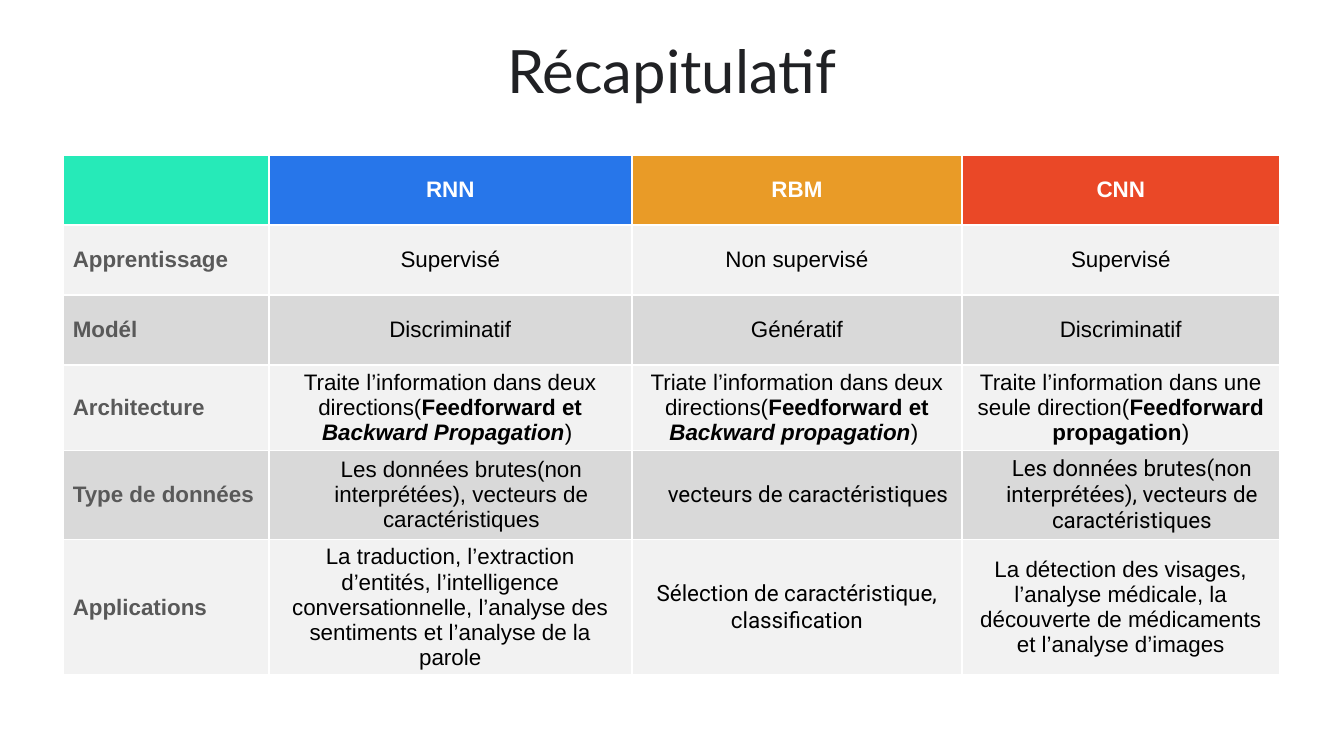
from lxml import etree
from pptx import Presentation
from pptx.dml.color import RGBColor
from pptx.enum.text import MSO_ANCHOR, PP_ALIGN
from pptx.oxml.ns import qn
from pptx.util import Pt

CENTER, LEFT = PP_ALIGN.CENTER, PP_ALIGN.LEFT
MIDDLE = MSO_ANCHOR.MIDDLE

THEME = {
    "title": "202124", "header": "FFFFFF", "label": "595959", "body": "000000",
    "border": "FFFFFF", "bands": ("F2F2F2", "D9D9D9"),
    "headers": ("26EAB8", "2776EA", "E99B27", "EA4827"),
    "title_font": "Lato", "font": "Arial", "alt_font": "Roboto",
    "title_size": 32, "size": 12,
}

# Content: a cell is a text, or a list of (text, style) with b = bold, i = italic
TITLE = "Récapitulatif"
RAW_DATA = "Les données brutes(non interprétées), vecteurs de caractéristiques"
ROWS = [
    ["", "RNN", "RBM", "CNN"],
    ["Apprentissage", "Supervisé", "Non supervisé", "Supervisé"],
    ["Modél", "Discriminatif", "Génératif", "Discriminatif"],
    ["Architecture",
     [("Traite l’information dans deux directions(", ""), ("Feedforward et ", "b"),
      ("Backward Propagation", "bi"), (") ", "")],
     [("Triate l’information dans deux directions(", ""), ("Feedforward et ", "b"),
      ("Backward propagation", "bi"), (") ", "")],
     [("Traite l’information dans une seule direction(", ""),
      ("Feedforward propagation", "b"), (")", "")]],
    ["Type de données", RAW_DATA, "vecteurs de caractéristiques", RAW_DATA],
    ["Applications",
     "La traduction, l’extraction d’entités, l’intelligence conversationnelle, "
     "l’analyse des sentiments et l’analyse de la parole",
     "Sélection de caractéristique, classification",
     "La détection des visages, l’analyse médicale, la découverte de médicaments "
     "et l’analyse d’images"],
]
ALT_FONT_CELLS = {(4, 2), (4, 3), (5, 2)}
INDENTED_ROW, INDENT = 4, 12

# Layout in points
SLIDE_W, SLIDE_H = 720, 405
TABLE_X, TABLE_Y = 34, 83
COL_WIDTHS = (110, 194.5, 177, 170)
ROW_HEIGHT = 37.5
MARGIN_X, MARGIN_Y = 5, 2.75


def style_run(r, font, size, color, bold=False, italic=False):
    r.font.name, r.font.size = font, Pt(size)
    r.font.color.rgb = RGBColor.from_string(color)
    r.font.bold, r.font.italic = bold, italic


def add_borders(cell):
    tc_pr = cell._tc.get_or_add_tcPr()
    for i, side in enumerate(("lnL", "lnR", "lnT", "lnB")):
        ln = etree.Element(qn(f"a:{side}"), w=str(Pt(1)))
        fill = etree.SubElement(ln, qn("a:solidFill"))
        etree.SubElement(fill, qn("a:srgbClr"), val=THEME["border"])
        tc_pr.insert(i, ln)


def fill_cell(cell, row, col, content):
    is_header, is_label = row == 0, col == 0
    fill = THEME["headers"][col] if is_header else THEME["bands"][(row - 1) % 2]
    cell.fill.solid()
    cell.fill.fore_color.rgb = RGBColor.from_string(fill)
    add_borders(cell)
    cell.vertical_anchor = MIDDLE
    cell.margin_left = cell.margin_right = Pt(MARGIN_X)
    cell.margin_top = cell.margin_bottom = Pt(MARGIN_Y)
    if not content:
        return

    p = cell.text_frame.paragraphs[0]
    p.alignment = LEFT if is_label else CENTER
    if row == INDENTED_ROW and not is_label:
        p._p.get_or_add_pPr().set("marL", str(Pt(INDENT)))
    role = "header" if is_header else "label" if is_label else "body"
    font = THEME["alt_font" if (row, col) in ALT_FONT_CELLS else "font"]
    parts = [(content, "")] if isinstance(content, str) else content
    for text, style in parts:
        r = p.add_run()
        r.text = text
        style_run(r, font, THEME["size"], THEME[role],
                  role != "body" or "b" in style, "i" in style)


def main():
    prs = Presentation()
    prs.slide_width, prs.slide_height = Pt(SLIDE_W), Pt(SLIDE_H)
    s = prs.slides.add_slide(prs.slide_layouts[6])

    # Comparison table
    table = s.shapes.add_table(
        len(ROWS), len(COL_WIDTHS), Pt(TABLE_X), Pt(TABLE_Y),
        Pt(sum(COL_WIDTHS)), Pt(ROW_HEIGHT * len(ROWS))).table
    for column, width in zip(table.columns, COL_WIDTHS):
        column.width = Pt(width)
    for row, contents in enumerate(ROWS):
        table.rows[row].height = Pt(ROW_HEIGHT)
        for col, content in enumerate(contents):
            fill_cell(table.cell(row, col), row, col, content)

    # Title
    tf = s.shapes.add_textbox(0, Pt(14.5), Pt(SLIDE_W), Pt(46)).text_frame
    tf.word_wrap = True
    tf.text = TITLE
    p = tf.paragraphs[0]
    p.alignment = CENTER
    style_run(p.runs[0], THEME["title_font"], THEME["title_size"], THEME["title"])

    prs.save("out.pptx")


if __name__ == "__main__":
    main()
